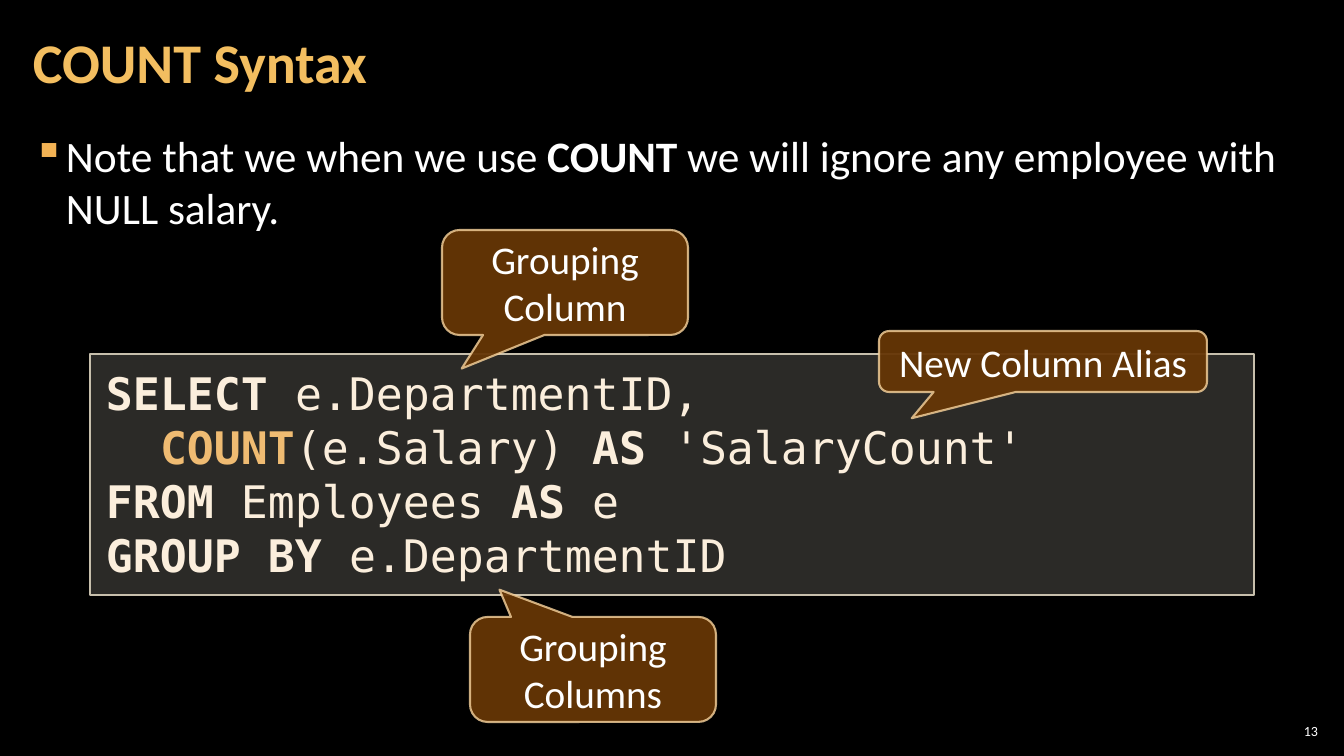
"""Build the COUNT syntax slide with its SQL sample and callouts."""
from dataclasses import dataclass

from lxml import etree
from pptx import Presentation
from pptx.dml.color import RGBColor
from pptx.enum.shapes import MSO_SHAPE
from pptx.enum.text import MSO_ANCHOR, PP_ALIGN
from pptx.oxml.ns import qn
from pptx.util import Pt

RECT = MSO_SHAPE.RECTANGLE
CALLOUT = MSO_SHAPE.ROUNDED_RECTANGULAR_CALLOUT
TOP, MIDDLE = MSO_ANCHOR.TOP, MSO_ANCHOR.MIDDLE
LEFT, CENTER, RIGHT = PP_ALIGN.LEFT, PP_ALIGN.CENTER, PP_ALIGN.RIGHT


@dataclass(frozen=True)
class Theme:
    """Colours, fonts and type sizes."""
    background: str = "000000"
    text: str = "FFFFFF"
    title: str = "F3BE60"
    bullet: str = "F2B254"
    code: str = "FBEEDC"
    keyword: str = "EFBB72"
    panel: str = "D9D5C7"
    panel_line: str = "C7BFAC"
    callout: str = "663606"
    callout_line: str = "F8D49E"
    sans: str = "Calibri"
    mono: str = "DejaVu Sans Mono"
    title_size: int = 40
    body_size: int = 31
    code_size: int = 32
    callout_size: int = 28
    number_size: int = 10


def assign(target, values):
    """Set each named attribute of the target."""
    for name, value in values.items():
        setattr(target, name, value)


def paint(fill, colour, opacity=100):
    """Give a fill a solid colour and an opacity in percent."""
    fill.solid()
    fill.fore_color.rgb = RGBColor.from_string(colour)
    if opacity < 100:
        solid = fill._xPr.find(qn("a:solidFill"))
        etree.SubElement(solid[0], qn("a:alpha"), val=str(opacity * 1000))


class SlideBuilder:
    """Hold the theme and the current slide, and draw its elements."""
    SCALE = 914400 / 100.8

    def __init__(self, theme, width, height):
        """Start a presentation with one blank slide."""
        self.theme = theme
        self.deck = Presentation()
        assign(self.deck, {"slide_width": self.px(width), "slide_height": self.px(height)})
        self.slide = self.deck.slides.add_slide(self.deck.slide_layouts[6])
        paint(self.slide.background.fill, theme.background)

    def px(self, length):
        """Turn pixels into EMU."""
        return round(length * self.SCALE)

    def set_text(self, shape, lines, size, colour, font=None, align=LEFT, anchor=TOP,
                 inset=(10, 5), paragraph_format=None):
        """Fill a shape with lines made of (text, bold, colour) runs."""
        frame = shape.text_frame
        across, down = map(self.px, inset)
        assign(frame, {"word_wrap": True, "vertical_anchor": anchor,
                       "margin_left": across, "margin_right": across,
                       "margin_top": down, "margin_bottom": down})
        for index, line in enumerate(lines):
            paragraph = frame.add_paragraph() if index else frame.paragraphs[0]
            assign(paragraph, {"alignment": align, **(paragraph_format or {})})
            for text, bold, *accent in line:
                run = paragraph.add_run()
                run.text = text
                assign(run.font, {"name": font or self.theme.sans,
                                  "size": Pt(size), "bold": bold})
                run.font.color.rgb = RGBColor.from_string(accent[0] if accent else colour)
        return frame

    def text(self, box, lines, size, colour, **style):
        """Add a text box."""
        shape = self.slide.shapes.add_textbox(*map(self.px, box))
        return self.set_text(shape, lines, size, colour, **style)

    def bullet(self, box, line, indent):
        """Add a text box with one bulleted paragraph."""
        frame = self.text(box, [line], self.theme.body_size, self.theme.text, inset=(12, 4),
                          paragraph_format={"space_before": Pt(6), "space_after": Pt(6)})
        properties = frame.paragraphs[0]._p.get_or_add_pPr()
        properties.set("marL", str(self.px(indent)))
        properties.set("indent", str(-self.px(indent)))
        bullet_colour = etree.SubElement(properties, qn("a:buClr"))
        etree.SubElement(bullet_colour, qn("a:srgbClr"), val=self.theme.bullet)
        etree.SubElement(properties, qn("a:buChar"), char="▪")

    def shape(self, kind, box, fill, line, line_width):
        """Add a preset shape; fill and line are (colour, opacity)."""
        shape = self.slide.shapes.add_shape(kind, *map(self.px, box))
        shape.shadow.inherit = False
        paint(shape.fill, *fill)
        paint(shape.line.fill, *line)
        shape.line.width = Pt(line_width)
        return shape

    def code(self, box, lines):
        """Add a code panel."""
        panel = self.shape(RECT, box, (self.theme.panel, 20), (self.theme.panel_line,), 1)
        self.set_text(panel, lines, self.theme.code_size, self.theme.code,
                      font=self.theme.mono, inset=(16, 12))

    def callout(self, box, label, tip):
        """Add a speech callout whose tip is relative to its centre."""
        bubble = self.shape(CALLOUT, box, (self.theme.callout, 95),
                            (self.theme.callout_line, 80), 1.5)
        for index, value in enumerate(tip):
            bubble.adjustments[index] = value
        self.set_text(bubble, [[(label, False)]], self.theme.callout_size, self.theme.text,
                      align=CENTER, anchor=MIDDLE)


def main():
    """Compose and save the slide."""
    theme = Theme()
    builder = SlideBuilder(theme, 1344, 756)
    builder.bullet((21, 125, 1301, 614), [
        ("Note that we when we use ", False), ("COUNT", True),
        (" we will ignore any employee with NULL salary.", False)], indent=33)
    builder.code((90, 354, 1164, 241), [
        [("SELECT", True), (" e.DepartmentID,", False)],
        [("  ", True), ("COUNT", True, theme.keyword), ("(e.Salary) ", False),
         ("AS", True), (" 'SalaryCount'", False)],
        [("FROM", True), (" Employees ", False), ("AS", True), (" e", False)],
        [("GROUP BY ", True), ("e.DepartmentID", False)]])
    builder.text((1275, 720, 47, 21), [[("13", False)]], theme.number_size, theme.text,
                 align=RIGHT, anchor=MIDDLE, inset=(4, 4))
    builder.text((21, 4, 1055, 122), [[("COUNT Syntax", True)]], theme.title_size,
                 theme.title, anchor=MIDDLE, inset=(12, 4),
                 paragraph_format={"line_spacing": 0.9})
    for box, label, tip in (
            ((442, 230, 246, 105), "Grouping Column", (-0.42, 0.82)),
            ((470, 617, 246, 105), "Grouping Columns", (-0.38, -0.76)),
            ((879, 331, 328, 61), "New Column Alias", (-0.4, 0.93))):
        builder.callout(box, label, tip)
    builder.deck.save("out.pptx")


if __name__ == "__main__":
    main()
